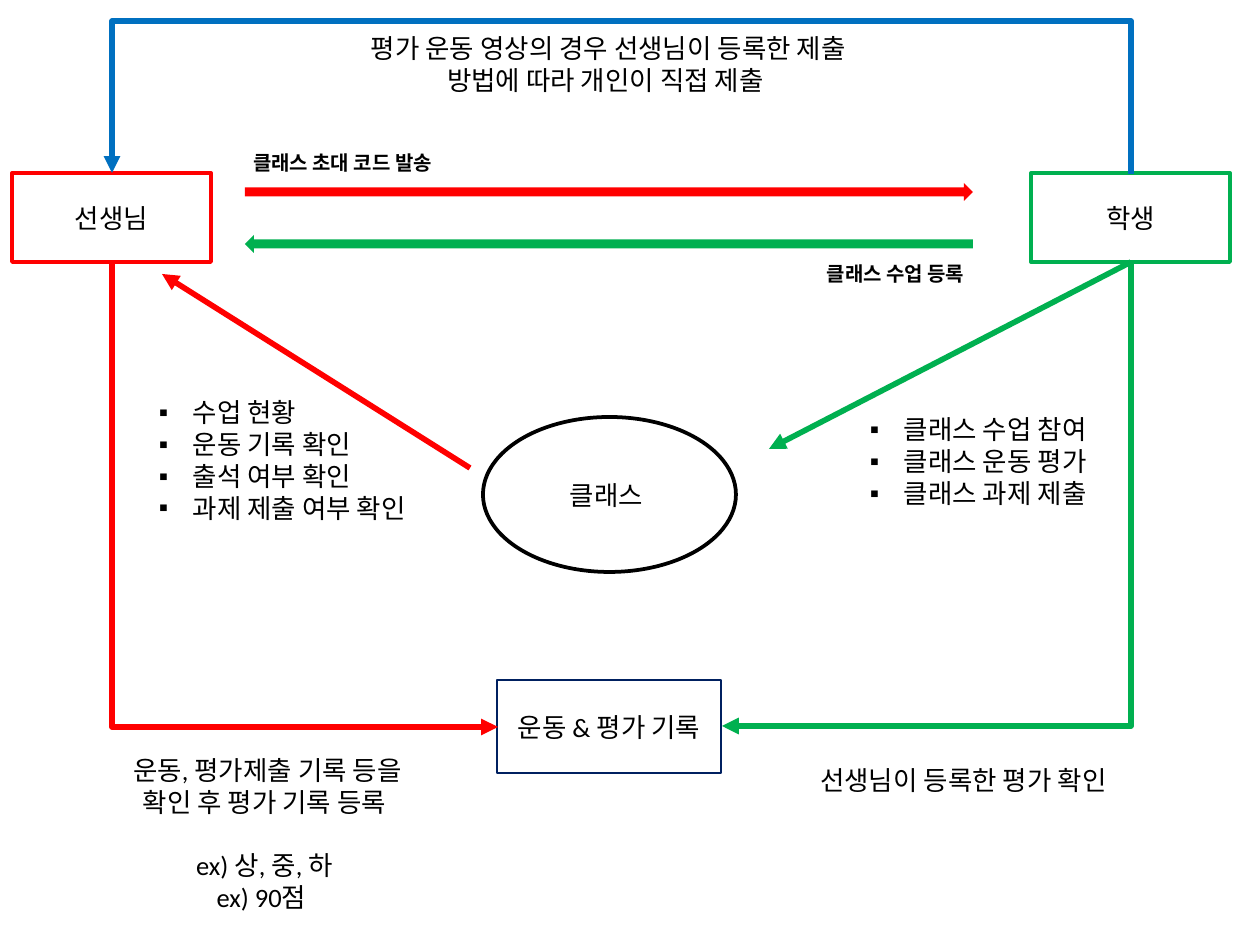
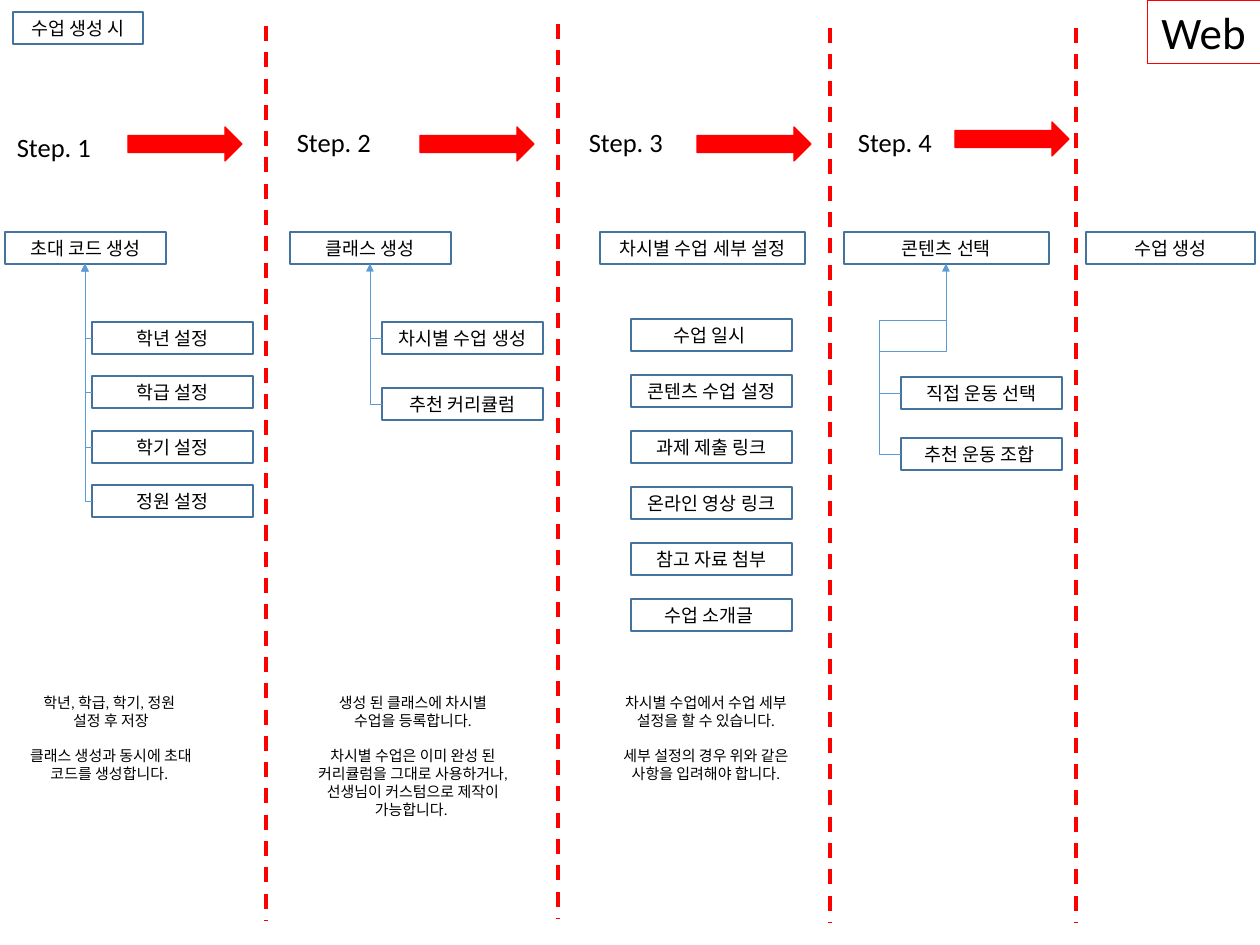
from dataclasses import dataclass

from lxml import etree
from pptx import Presentation
from pptx.dml.color import RGBColor
from pptx.enum import dml, shapes, text
from pptx.oxml.ns import qn
from pptx.util import Emu, Pt

PX = 914400 // 90  # one pixel in EMU


@dataclass(frozen=True)
class Theme:
    font: str = "Calibri"
    ink: str = "000000"
    red: str = "FF0000"
    green: str = "00B050"
    blue: str = "0070C0"
    navy: str = "002060"
    frame: str = "43739E"
    branch: str = "5B9BD5"
    banner: float = 36
    body: float = 21.2
    label: float = 16
    item: float = 14.7
    note: float = 12


theme = Theme()
CENTER, LEFT = text.PP_ALIGN.CENTER, text.PP_ALIGN.LEFT
RECT, OVAL = shapes.MSO_SHAPE.RECTANGLE, shapes.MSO_SHAPE.OVAL
ARROW = shapes.MSO_SHAPE.RIGHT_ARROW


def add_box(page, area, lines=(), size=theme.body, kind=None, line=None, width=1,
            fill=None, align=CENTER, bold=False, bullet=None, gaps=(), title=False):
    """Add a text box, a preset shape or the title; gaps lists paragraphs set apart."""
    left, top, wide, high = [Emu(value * PX) for value in area]
    if title:
        box = page.shapes.title
        box.left, box.top, box.width, box.height = left, top, wide, high
    elif kind is None:
        box = page.shapes.add_textbox(left, top, wide, high)
    else:
        box = page.shapes.add_shape(kind, left, top, wide, high)
        box.shadow.inherit = False
    if fill:
        box.fill.solid()
        box.fill.fore_color.rgb = RGBColor.from_string(fill)
    else:
        box.fill.background()
    if line:
        box.line.color.rgb = RGBColor.from_string(line)
        box.line.width = Pt(width)
    else:
        box.line.fill.background()
    frame = box.text_frame
    frame.word_wrap = True
    frame.auto_size = text.MSO_AUTO_SIZE.NONE
    boxed = kind is not None or title
    frame.vertical_anchor = text.MSO_ANCHOR.MIDDLE if boxed else text.MSO_ANCHOR.TOP
    for index, words in enumerate(lines):
        para = frame.paragraphs[0] if index == 0 else frame.add_paragraph()
        para.alignment = align
        if index in gaps:
            para.space_before = Pt(round(size * 1.2))
        if bullet:
            properties = para._p.get_or_add_pPr()
            properties.set("marL", str(34 * PX))
            properties.set("indent", str(-34 * PX))
            etree.SubElement(properties, qn("a:buFont")).set("typeface", "Arial")
            etree.SubElement(properties, qn("a:buChar")).set("char", bullet)
        span = para.add_run()
        span.text = words
        span.font.name, span.font.size, span.font.bold = theme.font, Pt(size), bold
        span.font.color.rgb = RGBColor.from_string(theme.ink)
    return box


def connect(page, start, end, color, width, preset=None, turn=0, flip=None,
            bends=(), head=True, dash=False):
    """Add a straight connector, or a bent one turned around its middle."""
    (x1, y1), (x2, y2) = start, end
    if preset:
        wide, high = abs(x2 - x1), abs(y2 - y1)
        if turn in (90, 270):
            wide, high = high, wide
        x1, y1 = (x1 + x2 - wide) / 2, (y1 + y2 - high) / 2
        x2, y2 = x1 + wide, y1 + high
    kind = shapes.MSO_CONNECTOR.ELBOW if preset else shapes.MSO_CONNECTOR.STRAIGHT
    link = page.shapes.add_connector(kind, *[Emu(int(v * PX)) for v in (x1, y1, x2, y2)])
    link.line.color.rgb = RGBColor.from_string(color)
    link.line.width = Pt(width)
    if dash:
        link.line.dash_style = dml.MSO_LINE.DASH
    properties = link._element.spPr
    if preset:
        transform = properties.find(qn("a:xfrm"))
        transform.set("rot", str(turn * 60000))
        if flip:
            transform.set(flip, "1")
        geometry = properties.find(qn("a:prstGeom"))
        geometry.set("prst", preset)
        values = geometry.find(qn("a:avLst"))
        if values is None:
            values = etree.SubElement(geometry, qn("a:avLst"))
        for number, share in enumerate(bends, 1):
            guide = etree.SubElement(values, qn("a:gd"))
            guide.set("name", f"adj{number}")
            guide.set("fmla", f"val {round(share * 100000)}")
    if head:
        etree.SubElement(properties.find(qn("a:ln")), qn("a:tailEnd")).set("type", "triangle")
    etree.SubElement(properties, qn("a:effectLst"))


deck = Presentation()
deck.slide_width, deck.slide_height = Emu(1260 * PX), Emu(945 * PX)
title_only, blank = deck.slide_layouts[5], deck.slide_layouts[6]

# Slide 1: how teacher, student and class work together
page = deck.slides.add_slide(blank)

# Actors and records
for kind, area, words, color, width in [
    (RECT, (12, 173, 199, 89), "선생님", theme.red, 3),
    (RECT, (1031, 173, 199, 89), "학생", theme.green, 3),
    (OVAL, (483, 417, 253, 155), "클래스 ", theme.ink, 3),
    (RECT, (497, 680, 224, 93), "운동 & 평가 기록", theme.navy, 2.25),
]:
    add_box(page, area, [words], kind=kind, line=color, width=width)

# Invitation and enrolment
add_box(page, (245, 183, 728, 18), kind=ARROW, fill=theme.red)
add_box(page, (245, 235, 728, 18), kind=ARROW, fill=theme.green).rotation = 180
add_box(page, (202, 146, 281, 33), ["클래스 초대 코드 발송"], theme.label, bold=True)
add_box(page, (798, 257, 195, 33), ["클래스 수업 등록"], theme.label, bold=True)

# Links to the class, the records and the teacher
connect(page, (1131, 262), (769, 449), theme.green, 4.5)
connect(page, (470, 468), (162, 274), theme.red, 4.5)
connect(page, (112, 262), (498, 727), theme.red, 4.5, "bentConnector3", 270, "flipH", [1])
connect(page, (1131, 262), (722, 726), theme.green, 4.5, "bentConnector2", 90)
connect(page, (1131, 174), (112, 173), theme.blue, 4.5, "bentConnector3", 270, "flipV", [154])

# What each side does
for area, lines in [
    ((861, 409, 256, 138), ["클래스 수업 참여", "클래스 운동 평가", "클래스 과제 제출"]),
    ((150, 392, 299, 169),
     ["수업 현황 ", "운동 기록 확인", "출석 여부 확인", "과제 제출 여부 확인"]),
]:
    add_box(page, area, lines, align=LEFT, bullet="▪")

# Explanations
add_box(page, (98, 750, 333, 169),
        [" 운동, 평가제출 기록 등을 확인 후 평가 기록 등록", "ex) 상, 중, 하", "ex) 90점 "],
        gaps=[1])
add_box(page, (797, 760, 333, 41), ["선생님이 등록한 평가 확인"])
add_box(page, (355, 28, 507, 73),
        ["평가 운동 영상의 경우 선생님이 등록한 제출 방법에 따라 개인이 직접 제출 "])

# Slide 2: steps for creating a lesson
page = deck.slides.add_slide(title_only)
add_box(page, (13, 12, 130, 32), ["수업 생성 시"], theme.item, line=theme.frame, title=True)
add_box(page, (1147, 0, 113, 64), ["Web"], theme.banner, RECT, theme.red, 0.75)

# Column dividers
for x, top in [(266, 26), (558, 24), (830, 28), (1076, 28)]:
    connect(page, (x, top), (x, top + 894), theme.red, 3, head=False, dash=True)

# Step labels and their arrows
for number, (x, top, arrow_x, arrow_top) in enumerate(
        [(8, 127, 128, 127), (288, 122, 420, 127), (580, 122, 697, 127), (849, 122, 955, 122)], 1):
    add_box(page, (x, top, 98, 41), [f"Step. {number}"], align=LEFT)
    add_box(page, (arrow_x, arrow_top, 114, 34), kind=ARROW, fill=theme.red, line=theme.red)

# Headings with their settings: left, width, heading, item left, item top, pitch, items
HEAD_TOP, ITEM_WIDTH, BOX_HEIGHT = 232, 161, 32
columns = [
    (5, 161, "초대 코드 생성", 92, 322, 54.3,
     ["학년 설정", "학급 설정", "학기 설정", "정원 설정"]),
    (290, 161, "클래스 생성", 382, 322, 66, ["차시별 수업 생성", "추천 커리큘럼"]),
    (600, 205, "차시별 수업 세부 설정", 631, 319, 56,
     ["수업 일시 ", "콘텐츠 수업 설정", "과제 제출 링크", "온라인 영상 링크",
      "참고 자료 첨부", "수업 소개글 "]),
    (844, 205, "콘텐츠 선택", 901, 377, 61, ["직접 운동 선택", "추천 운동 조합 "]),
    (1086, 169, "수업 생성", 0, 0, 0, []),
]
for step, (left, width, heading, item_left, first, pitch, items) in enumerate(columns, 1):
    add_box(page, (left, HEAD_TOP, width, BOX_HEIGHT), [heading], theme.item, RECT, theme.frame)
    tip = (left + width // 2, HEAD_TOP + BOX_HEIGHT)
    for index, words in enumerate(items):
        top = round(first + index * pitch)
        add_box(page, (item_left, top, ITEM_WIDTH, BOX_HEIGHT), [words], theme.item,
                RECT, theme.frame)
        start = (item_left, top + BOX_HEIGHT // 2)
        if step in (1, 2):
            connect(page, start, tip, theme.branch, 0.5, "bentConnector2", 180)
        elif step == 4:
            connect(page, start, tip, theme.branch, 0.5, "bentConnector4", 180, "flipH",
                    [-0.49, (0.56, 0.54)[index]])

# Notes under the steps
for left, height, lines, gap in [
    (7, 100, ["학년, 학급, 학기, 정원 ", "설정 후 저장",
              "클래스 생성과 동시에 초대 코드를 생성합니다. "], 2),
    (309, 136, ["생성 된 클래스에 차시별 수업을 등록합니다.",
                "차시별 수업은 이미 완성 된 커리큘럼을 그대로 사용하거나, "
                "선생님이 커스텀으로 제작이 가능합니다. "], 1),
    (602, 100, ["차시별 수업에서 수업 세부 설정을 할 수 있습니다.",
                "세부 설정의 경우 위와 같은 사항을 입려해야 합니다."], 1),
]:
    add_box(page, (left, 689, 208, height), lines, theme.note, gaps=[gap])

deck.save("out.pptx")
